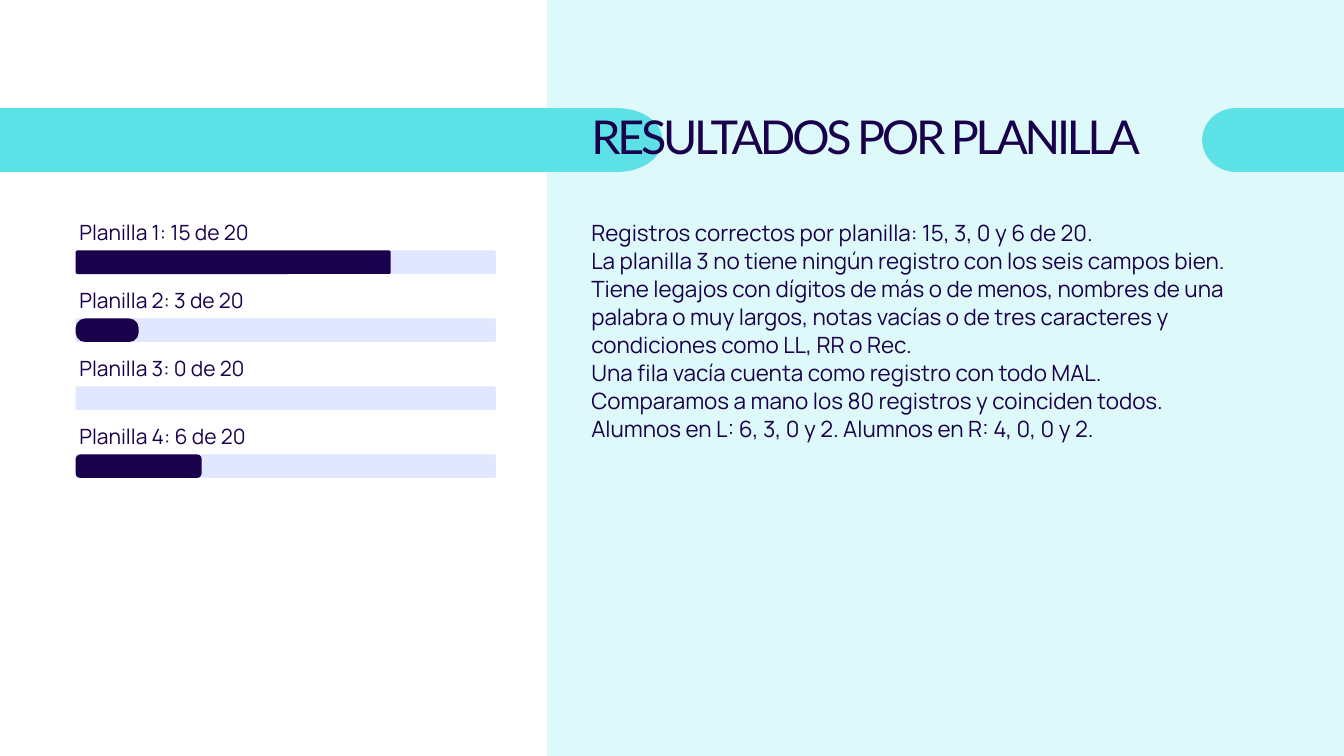
"""Build the slide with the correct records of each sheet as progress bars."""
from dataclasses import dataclass
from math import cos, pi, sin

from pptx import Presentation
from pptx.dml.color import RGBColor
from pptx.enum.shapes import MSO_SHAPE
from pptx.enum.text import MSO_ANCHOR, MSO_AUTO_SIZE, PP_ALIGN
from pptx.oxml import parse_xml
from pptx.oxml.ns import nsdecls
from pptx.util import Cm, Pt

COLORS = {"ink": "1A014B", "aqua": "5CE1E6", "track": "E0E7FF"}
SLIDE_WIDTH, SLIDE_HEIGHT = 50.8, 28.58
PANEL_LEFT = 20.67
TEXT_LEFT, TEXT_WIDTH = 22.35, 25.6
BAND_TOP, BAND_HEIGHT = 4.09, 2.41
ARC_STEPS = 32
LABEL_LEFT, LABEL_TOP, LABEL_WIDTH, LABEL_HEIGHT = 3.0, 8.13, 14.76, 1.14
BAR_LEFT, BAR_TOP, BAR_WIDTH, BAR_HEIGHT = 2.86, 9.47, 15.88, 0.89
BAR_PITCH = 2.57
BAR_ROUNDING = 0.06
TITLE = "RESULTADOS POR PLANILLA"
FINDINGS = [
    "Registros correctos por planilla: 15, 3, 0 y 6 de 20.",
    "La planilla 3 no tiene ningún registro con los seis campos bien. "
    "Tiene legajos con dígitos de más o de menos, nombres de una palabra o muy largos, "
    "notas vacías o de tres caracteres y condiciones como LL, RR o Rec.",
    "Una fila vacía cuenta como registro con todo MAL.",
    "Comparamos a mano los 80 registros y coinciden todos.",
    "Alumnos en L: 6, 3, 0 y 2. Alumnos en R: 4, 0, 0 y 2.",
]


@dataclass
class Sheet:
    """Score of one sheet."""
    number: int
    correct: int
    total: int = 20

    @property
    def share(self) -> float:
        return self.correct / self.total


@dataclass
class Band:
    """Horizontal band from a slide edge to a rounded end."""
    edge: float
    arc_center: float
    arc_radius: float


SHEETS = [Sheet(number, correct) for number, correct in enumerate((15, 3, 0, 6), start=1)]
LEFT_BAND = Band(edge=0, arc_center=23.34, arc_radius=1.7)
RIGHT_BAND = Band(edge=SLIDE_WIDTH, arc_center=46.71, arc_radius=-1.27)


def paint(shape, color: str, opacity: int = 100) -> None:
    """Give a shape a plain fill without line or shadow."""
    shape.shadow.inherit = False
    shape.line.fill.background()
    shape.fill.solid()
    shape.fill.fore_color.rgb = RGBColor.from_string(COLORS[color])
    if opacity < 100:
        color_element = shape.element.spPr.find(".//{*}solidFill/{*}srgbClr")
        color_element.append(parse_xml(f'<a:alpha {nsdecls("a")} val="{opacity * 1000}"/>'))


def write_text(shape, *lines: str, font: str, size: float, line_spacing: float,
               tracking: float = 0) -> None:
    """Fill a shape with one formatted paragraph for each line."""
    frame = shape.text_frame
    frame.word_wrap = True
    frame.auto_size = MSO_AUTO_SIZE.NONE
    frame.vertical_anchor = MSO_ANCHOR.TOP
    frame.margin_left = frame.margin_right = frame.margin_top = frame.margin_bottom = 0
    frame.text = "\n".join(lines)
    for paragraph in frame.paragraphs:
        paragraph.alignment = PP_ALIGN.LEFT
        paragraph.line_spacing = Pt(line_spacing)
        paragraph.space_before = Pt(0)
        for run in paragraph.runs:
            run.font.name = font
            run.font.size = Pt(size)
            run.font.color.rgb = RGBColor.from_string(COLORS["ink"])
            if tracking:
                run.font._element.set("spc", str(round(tracking * 100)))


def add_text(slide, left: float, top: float, width: float, height: float,
             *lines: str, **text_format) -> None:
    """Add a text box."""
    box = slide.shapes.add_textbox(Cm(left), Cm(top), Cm(width), Cm(height))
    write_text(box, *lines, **text_format)


def add_band(slide, band: Band) -> None:
    """Draw a band whose inner end is half an ellipse."""
    half = BAND_HEIGHT / 2
    angles = [pi * step / ARC_STEPS - pi / 2 for step in range(ARC_STEPS + 1)]
    points = [(band.arc_center + band.arc_radius * cos(angle),
               BAND_TOP + half + half * sin(angle)) for angle in angles]
    points.append((band.edge, BAND_TOP + BAND_HEIGHT))
    builder = slide.shapes.build_freeform(Cm(band.edge), Cm(BAND_TOP))
    builder.add_line_segments([(Cm(x), Cm(y)) for x, y in points])
    paint(builder.convert_to_shape(), "aqua")


def add_bar(slide, top: float, share: float, color: str) -> None:
    """Draw a bar whose rounding grows as its share shrinks."""
    bar = slide.shapes.add_shape(MSO_SHAPE.ROUNDED_RECTANGLE, Cm(BAR_LEFT), Cm(top),
                                 Cm(BAR_WIDTH * share), Cm(BAR_HEIGHT))
    bar.adjustments[0] = BAR_ROUNDING / share
    paint(bar, color)


def add_sheet(slide, sheet: Sheet) -> None:
    """Draw the label, track and score of a sheet."""
    offset = (sheet.number - 1) * BAR_PITCH
    add_text(slide, LABEL_LEFT, LABEL_TOP + offset, LABEL_WIDTH, LABEL_HEIGHT,
             f"Planilla {sheet.number}: {sheet.correct} de {sheet.total}",
             font="Manrope", size=22.5, line_spacing=31.5)
    add_bar(slide, BAR_TOP + offset, 1, "track")
    if sheet.correct:
        add_bar(slide, BAR_TOP + offset, sheet.share, "ink")


def place_title(slide) -> None:
    """Move the title placeholder in front of the bands and format it."""
    title = slide.shapes.title
    title.left, title.top = Cm(TEXT_LEFT), Cm(4.83)
    title.width, title.height = Cm(TEXT_WIDTH), Cm(1.52)
    write_text(title, TITLE, font="Lato", size=50, line_spacing=38.5, tracking=-3.5)
    title.element.getparent().append(title.element)


def main() -> None:
    """Build and save the presentation."""
    presentation = Presentation()
    presentation.slide_width, presentation.slide_height = Cm(SLIDE_WIDTH), Cm(SLIDE_HEIGHT)
    slide = presentation.slides.add_slide(presentation.slide_layouts[5])
    panel = slide.shapes.add_shape(MSO_SHAPE.RECTANGLE, Cm(PANEL_LEFT), 0,
                                   Cm(SLIDE_WIDTH - PANEL_LEFT), Cm(SLIDE_HEIGHT))
    paint(panel, "aqua", opacity=20)
    for band in (LEFT_BAND, RIGHT_BAND):
        add_band(slide, band)
    place_title(slide)
    add_text(slide, TEXT_LEFT, 8.25, TEXT_WIDTH, 8.53, *FINDINGS,
             font="Manrope", size=24, line_spacing=30)
    for sheet in SHEETS:
        add_sheet(slide, sheet)
    presentation.save("out.pptx")


if __name__ == "__main__":
    main()
